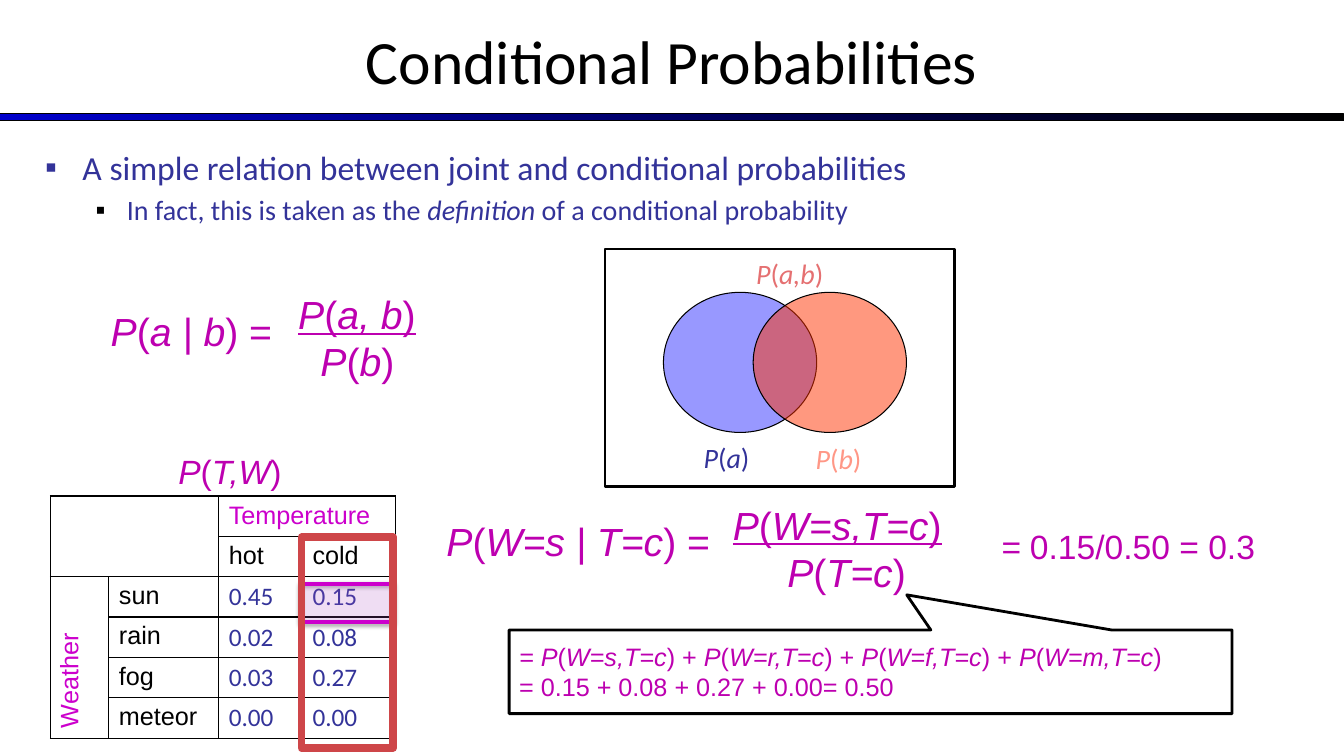
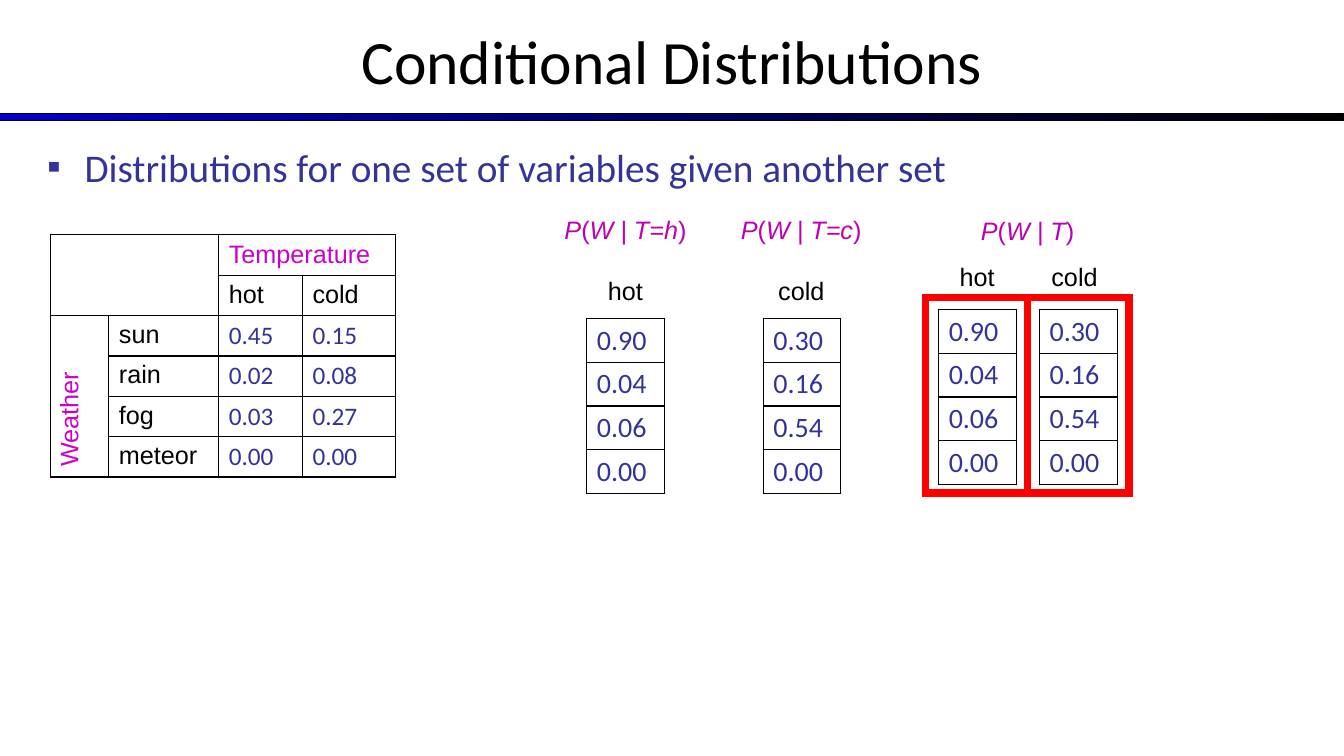
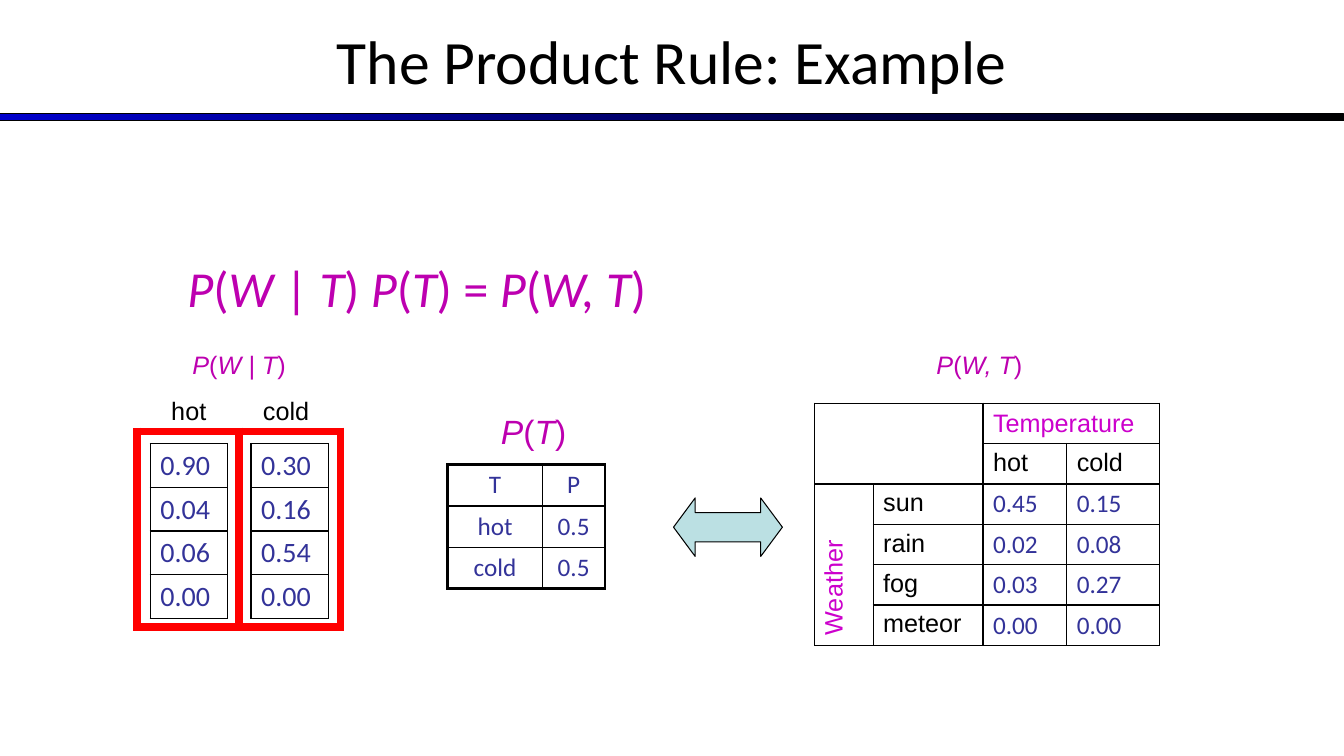
from lxml import etree
from pptx import Presentation
from pptx.dml.color import RGBColor
from pptx.enum.shapes import MSO_SHAPE as Shape
from pptx.enum.text import MSO_ANCHOR as Anchor, MSO_AUTO_SIZE as Fit, PP_ALIGN as Align
from pptx.oxml.ns import qn
from pptx.util import Inches, Pt

BLACK = RGBColor(0x00, 0x00, 0x00)
WHITE = RGBColor(0xFF, 0xFF, 0xFF)
BLUE = RGBColor(0x00, 0x00, 0xCC)
INDIGO = RGBColor(0x33, 0x33, 0x99)
PURPLE = RGBColor(0xBD, 0x00, 0xB0)
PINK = RGBColor(0xCC, 0x00, 0xCC)
LILAC = RGBColor(0xDE, 0x68, 0xFF)
RED = RGBColor(0xFF, 0x00, 0x00)
BRICK = RGBColor(0xCE, 0x46, 0x49)
ROSE = RGBColor(0xE5, 0x70, 0x71)
SALMON = RGBColor(0xFF, 0x97, 0x86)
SKY = RGBColor(0x33, 0x33, 0xFF)
ORANGE = RGBColor(0xFF, 0x33, 0x00)
TEAL = RGBColor(0xBB, 0xE0, 0xE3)

# Content; text between asterisks is italic
TITLES = ["Conditional Probabilities", "Conditional Distributions", "The Product Rule: Example"]
RELATION = "A simple relation between joint and conditional probabilities"
DEFINED = "In fact, this is taken as the *definition* of a conditional probability"
GIVEN = "Distributions for one set of variables given another set"
PRODUCT = "*P*(*W *|* T*) *P*(*T*) = *P*(*W, T*)"
MARGIN = [
    "*= P*(*W=s,T=c*) + *P*(*W=r,T=c*) + *P*(*W=f,T=c*) +* P*(*W=m,T=c*)",
    "= 0.15 + 0.08 + 0.27 + 0.00= 0.50",
]
JOINT = [
    ("", "", "Temperature", ""),
    ("", "", "hot", "cold"),
    ("Weather", "sun", "0.45", "0.15"),
    ("", "rain", "0.02", "0.08"),
    ("", "fog", "0.03", "0.27"),
    ("", "meteor", "0.00", "0.00"),
]
HOT = [("0.90",), ("0.04",), ("0.06",), ("0.00",)]
COLD = [("0.30",), ("0.16",), ("0.54",), ("0.00",)]
PRIOR = [("T", "P"), ("hot", "0.5"), ("cold", "0.5")]
# text, box, size, colour, font
VENN = [
    ("*P*(*b*)", (7.99, 4.33, 0.68, 0.44), 20, SALMON, "Calibri"),
    ("*P*(*a*)", (6.88, 4.32, 0.68, 0.44), 20, INDIGO, "Calibri"),
    ("*P*(*a,b*)", (7.4, 2.5, 0.89, 0.44), 20, ROSE, "Calibri"),
]
FORMULAS = [
    ("*P*(*T,W*)", (1.67, 4.42, 1.25, 0.5), 24, PURPLE, "Arial"),
    ("*P*(*a | b*) =", (1, 3, 2.16, 0.57), 28, PURPLE, "Arial"),
    ("*P*(*W=s | T=c*) =", (4.33, 5.08, 4.16, 0.57), 28, PURPLE, "Arial"),
    ("*=* 0.15/0.50 = 0.3", (9.83, 5.17, 2.75, 0.5), 24, PURPLE, "Arial"),
]
# top, bottom, indent of the bottom line, box
RATIOS = [
    ("*P*(*a, b*)", "*P*(*b*)", 0.22, (2.86, 2.83, 1.64, 1.04)),
    ("*P*(*W=s,T=c*)", "*P*(*T=c*)", 0.54, (7.17, 4.92, 2.58, 1.04)),
]


def place(at):
    return [Inches(n) for n in at]


def sub(node, tag, **attrs):
    return etree.SubElement(node, qn(tag), attrs)


def write(par, text, size, color, font="Arial", align=Align.LEFT):
    for i, part in enumerate(text.split("*")):
        if part:
            run = par.add_run()
            run.text = part
            if i % 2:
                run.font.italic = True
    par.alignment = align
    par.font.size, par.font.name = Pt(size), font
    par.font.color.rgb = color


def inset(par, left, hang=0.0):
    props = par._p.get_or_add_pPr()
    props.set("marL", str(Inches(left)))
    props.set("indent", str(Inches(-hang)))
    return props


def bullet(par, left, hang, color):
    props = inset(par, left, hang)
    sub(sub(props, "a:buClr"), "a:srgbClr", val=str(color))
    sub(props, "a:buFont", typeface="Arial")
    sub(props, "a:buChar", char="▪")


def frame(slide, at):
    body = slide.shapes.add_textbox(*place(at)).text_frame
    body.word_wrap = True
    return body


def label(slide, text, at, size=18, color=PURPLE, font="Arial"):
    body = frame(slide, at)
    body.word_wrap, body.auto_size = False, Fit.SHAPE_TO_FIT_TEXT
    write(body.paragraphs[0], text, size, color, font)
    return body


def ratio(slide, top, bottom, left, at):
    body = label(slide, top, at, 28)
    body.paragraphs[0].font.underline = True
    par = body.add_paragraph()
    inset(par, left)
    write(par, bottom, 28, PURPLE)


def draw(slide, kind, at, line=BLACK, width=0.75, fill=None, alpha=None):
    shape = slide.shapes.add_shape(kind, *place(at))
    shape.shadow.inherit = False
    if fill is None:
        shape.fill.background()
    else:
        shape.fill.solid()
        shape.fill.fore_color.rgb = fill
        if alpha:
            color = shape._element.spPr.find(qn("a:solidFill"))[0]
            sub(color, "a:alpha", val=str(alpha * 1000))
    shape.line.color.rgb = line
    shape.line.width = Pt(width)
    return shape


def border(cell, color, widths):
    props = cell._tc.get_or_add_tcPr()
    for i, (side, width) in enumerate(zip("LRTB", widths)):
        edge = etree.Element(qn("a:ln" + side), w=str(Pt(width)))
        sub(sub(edge, "a:solidFill"), "a:srgbClr", val=str(color))
        props.insert(i, edge)


def grid(slide, x, y, cols, high, rows, style, fill=None, line=BLACK, width=1, outer=None):
    """Table whose style(text) gives the arguments for write()."""
    outer = outer or width
    size = place((x, y, sum(cols), high * len(rows)))
    table = slide.shapes.add_table(len(rows), len(cols), *size).table
    table.first_row = table.horz_banding = False
    for col, wide in zip(table.columns, cols):
        col.width = Inches(wide)
    for r, row in enumerate(rows):
        table.rows[r].height = Inches(high)
        for c, text in enumerate(row):
            cell = table.cell(r, c)
            if text:
                write(cell.text_frame.paragraphs[0], text, *style(text))
            if fill is None:
                cell.fill.background()
            else:
                cell.fill.solid()
                cell.fill.fore_color.rgb = fill
            ends = (c == 0, c == len(cols) - 1, r == 0, r == len(rows) - 1)
            border(cell, line, [outer if end else width for end in ends])
    return table


def joint(slide, x, y):
    def style(text):
        if text[0].isdigit():
            return 18, INDIGO, "Calibri"
        return 18, PINK if text in ("Temperature", "Weather") else BLACK

    table = grid(slide, x, y, (0.58, 1.09, 0.83, 0.92), 0.4, JOINT, style)
    for first, last in [((0, 0), (1, 1)), ((0, 2), (0, 3)), ((2, 0), (5, 0))]:
        table.cell(*first).merge(table.cell(*last))
    for spot in [(0, 2), (2, 0)]:
        table.cell(*spot).vertical_anchor = Anchor.MIDDLE
    table.cell(2, 0)._tc.get_or_add_tcPr().set("vert", "vert270")


def column(slide, x, y, rows):
    grid(slide, x, y, (0.77,), 0.43, rows, lambda text: (20, INDIGO, "Calibri"), WHITE)


def pair(slide, x, y):
    """Both conditional columns in a red frame, with their labels."""
    label(slide, "*P*(*W | T*)", (x + 0.45, y - 0.86, 1.14, 0.4))
    grid(slide, x, y, (1.01, 1.01), 1.94, [("", "")], None, WHITE, RED, 6)
    column(slide, x + 1.13, y + 0.12, COLD)
    column(slide, x + 0.13, y + 0.12, HOT)
    label(slide, "hot", (x + 0.24, y - 0.41, 0.55, 0.4), color=BLACK)
    label(slide, "cold", (x + 1.15, y - 0.41, 0.7, 0.4), color=BLACK)


def start(deck, title):
    """New slide with the shared band and title."""
    slide = deck.slides.add_slide(deck.slide_layouts[6])
    band = draw(slide, Shape.RECTANGLE, (0, 1.13, 13.33, 0.07))
    band.fill.gradient()
    band.fill.gradient_angle = 0
    for stop, color, spot in zip(band.fill.gradient_stops, (BLUE, BLACK), (0, 1)):
        stop.color.rgb, stop.position = color, spot
    body = frame(slide, (0, -0.03, 13.33, 1.25))
    body.vertical_anchor = Anchor.MIDDLE
    write(body.paragraphs[0], title, 44, BLACK, "Calibri", Align.CENTER)
    return slide


def relation(slide):
    joint(slide, 0.5, 4.92)
    body = frame(slide, (0.35, 1.41, 9.36, 1))
    par = body.paragraphs[0]
    bullet(par, 0.37, 0.37, INDIGO)
    write(par, RELATION, 24, INDIGO, "Calibri")
    par = body.add_paragraph()
    bullet(par, 0.81, 0.31, BLACK)
    par.space_before = Pt(4)
    write(par, DEFINED, 20, INDIGO, "Calibri")

    # Venn diagram
    for x, color in [(6.58, SKY), (7.47, ORANGE)]:
        draw(slide, Shape.OVAL, (x, 2.9, 1.52, 1.39), fill=color, alpha=50)
    draw(slide, Shape.RECTANGLE, (6, 2.47, 3.47, 2.36), width=2)

    # Callout with the marginal sum
    note = draw(slide, Shape.RECTANGULAR_CALLOUT, (5.05, 6.25, 7.17, 0.83), width=2)
    note.adjustments[0], note.adjustments[1] = 0.05, -0.92
    body = note.text_frame
    body.word_wrap, body.vertical_anchor = True, Anchor.MIDDLE
    for i, text in enumerate(MARGIN):
        write(body.add_paragraph() if i else body.paragraphs[0], text, 18, PURPLE)

    for item in VENN + FORMULAS:
        label(slide, *item)
    for item in RATIOS:
        ratio(slide, *item)

    # Marked cell and column of the table
    mark = draw(slide, Shape.RECTANGLE, (2.98, 5.79, 0.92, 0.38), PINK, 3, LILAC, 15)
    glow = sub(mark._element.spPr.find(qn("a:effectLst")), "a:outerShdw",
               blurRad=str(Pt(3.1)), dist=str(Pt(1.8)), dir="5400000", rotWithShape="0")
    sub(sub(glow, "a:srgbClr", val=str(BLACK)), "a:alpha", val="35000")
    draw(slide, Shape.RECTANGLE, (2.99, 5.33, 0.91, 2.09), BRICK, 5.5)


def given(slide):
    par = frame(slide, (0.37, 1.46, 11.42, 0.7)).paragraphs[0]
    bullet(par, 0.37, 0.37, INDIGO)
    par.line_spacing = 0.8
    write(par, GIVEN, 28, INDIGO, "Calibri")
    joint(slide, 0.5, 2.33)
    for x, name, shift, rows in [(5.82, "hot", 0.11, HOT), (7.57, "cold", 0.05, COLD)]:
        label(slide, f"*P*(*W | T={name[0]}*)", (x - 0.32, 2.08, 1.42, 0.4))
        column(slide, x, 3.16, rows)
        label(slide, name, (x + shift, 2.68, 0.7, 0.4), color=BLACK)
    pair(slide, 9.18, 2.95)


def product(slide):
    par = frame(slide, (1.76, 2.5, 8.74, 0.92)).paragraphs[0]
    write(par, PRODUCT, 36, PURPLE, "Calibri")
    arrow = draw(slide, Shape.LEFT_RIGHT_ARROW, (6.68, 4.94, 1.08, 0.58), fill=TEAL)
    arrow.adjustments[0], arrow.adjustments[1] = 0.5, 0.37
    grid(slide, 4.44, 4.61, (0.94, 0.62), 0.41, PRIOR,
         lambda text: (18, INDIGO, "Calibri", Align.CENTER), outer=2.25)
    label(slide, "*P*(*T*)", (4.87, 4.03, 0.87, 0.5), 24)
    pair(slide, 1.36, 4.28)
    joint(slide, 8.08, 4)
    label(slide, "*P*(*W, T*)", (9.19, 3.42, 1.06, 0.4))


def main():
    deck = Presentation()
    deck.slide_width, deck.slide_height = Inches(13.33), Inches(7.5)
    for title, fill in zip(TITLES, (relation, given, product)):
        fill(start(deck, title))
    deck.save("out.pptx")


if __name__ == "__main__":
    main()
